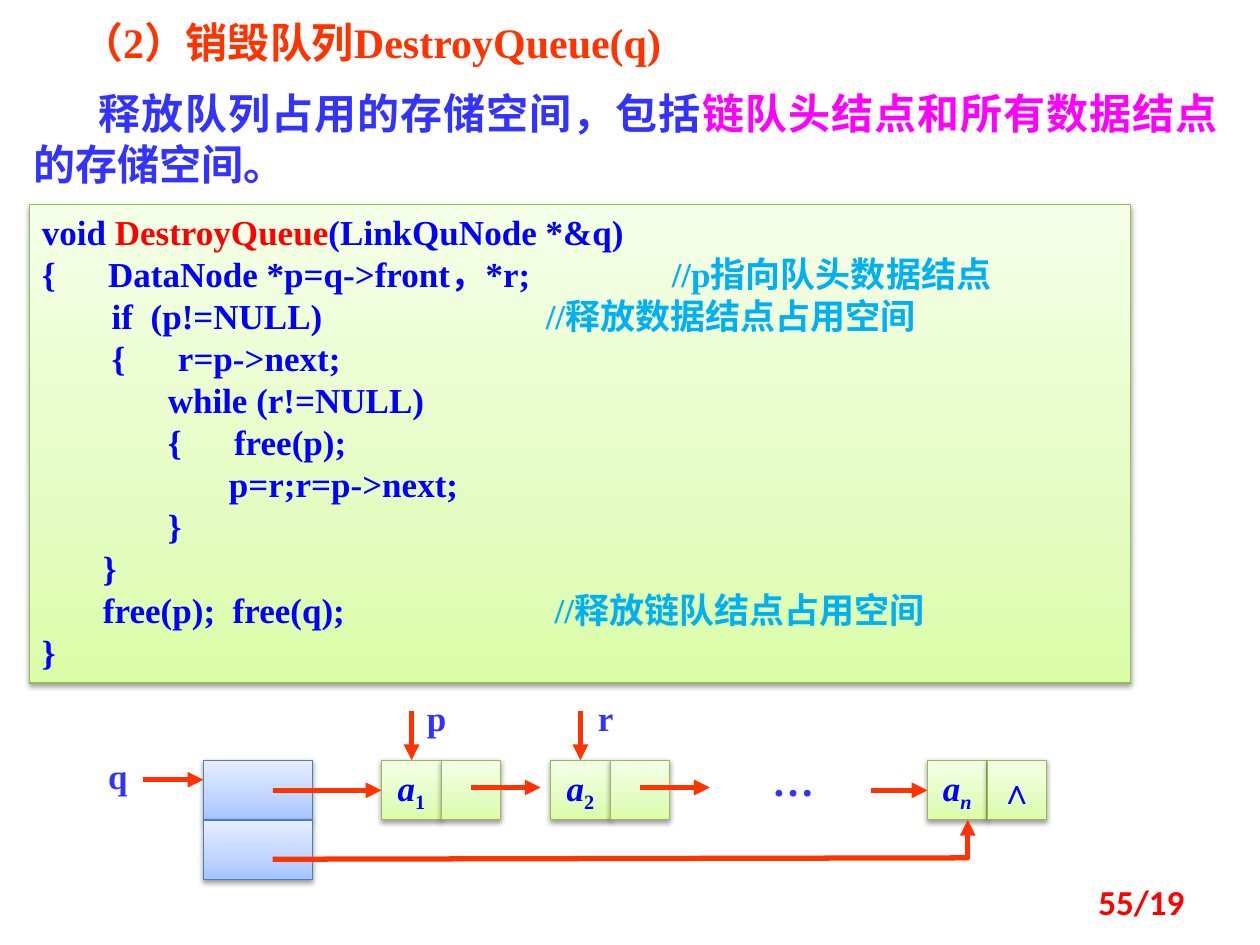
"""Build the slide on destroying a linked queue."""
from copy import deepcopy
from lxml.etree import SubElement
from pptx import Presentation
from pptx.dml.color import RGBColor
from pptx.enum.shapes import MSO_CONNECTOR as LINK, MSO_SHAPE as SHAPE
from pptx.enum.text import MSO_ANCHOR as ANCHOR, PP_ALIGN as ALIGN
from pptx.oxml.ns import qn
from pptx.util import Pt

ORANGE = RGBColor(0xFF, 0x33, 0x00)
VIOLET = RGBColor(0x33, 0x33, 0xFF)
PINK = RGBColor(0xFF, 0x00, 0xFF)
RED = RGBColor(0xFF, 0x00, 0x00)
BLUE = RGBColor(0x00, 0x00, 0xFF)
SKY = RGBColor(0x00, 0xB0, 0xF0)
LIME = [RGBColor.from_string(c) for c in ("DAFDA7", "E4FCC2", "F5FFE7", "98B955")]
ICE = [RGBColor.from_string(c) for c in ("A4C4FF", "BFD4FF", "E6EEFF", "4B7EBC")]
SERIF = "Times New Roman"

deck = Presentation()
deck.slide_width, deck.slide_height = Pt(720), Pt(540)
slide = deck.slides.add_slide(deck.slide_layouts[6])
shapes = slide.shapes


def add_box(x, y, w, h, tones):
    box = shapes.add_shape(SHAPE.RECTANGLE, Pt(x), Pt(y), Pt(w), Pt(h))
    box.fill.gradient()
    box.fill.gradient_angle = 90
    first = box.element.spPr.find(".//" + qn("a:gs"))
    first.addnext(deepcopy(first))
    for stop, tone, pos in zip(box.fill.gradient_stops, tones, (0, 0.35, 1)):
        stop.color.rgb = tone
        stop.position = pos
    box.line.color.rgb = tones[3]
    box.line.width = Pt(0.75)
    box.shadow.inherit = False
    glow = SubElement(box.element.spPr.find(qn("a:effectLst")), qn("a:outerShdw"),
                      blurRad=str(Pt(3.1)), dist=str(Pt(1.6)), dir="5400000", rotWithShape="0")
    black = SubElement(glow, qn("a:srgbClr"), val="000000")
    SubElement(black, qn("a:alpha"), val="38000")
    return box


def write(para, parts, size=20, align=ALIGN.LEFT, face=SERIF):
    para.alignment = align
    for text, tone in parts:
        run = para.add_run()
        run.text = text
        run.font.name, run.font.size, run.font.bold = face, Pt(size), True
        run.font.color.rgb = tone


intro = shapes.add_textbox(Pt(12.2), Pt(5.8), Pt(691), Pt(108.7)).text_frame
intro.word_wrap = True
head, body = intro.paragraphs[0], intro.add_paragraph()
write(head, [("（2）销毁队列DestroyQueue(q)", ORANGE)], 24, ALIGN.JUSTIFY)
write(body, [("释放队列占用的存储空间，包括", VIOLET), ("链队头结点和所有数据结点", PINK),
             ("的存储空间。", VIOLET)], 24, ALIGN.JUSTIFY)
body.space_before = Pt(12)
for para, indent in ((head, 27), (body, 37.2)):
    para._p.get_or_add_pPr().set("indent", str(Pt(indent)))

CODE = [
    [("void ", BLUE), ("DestroyQueue", RED), ("(LinkQuNode *&q)", BLUE)],
    [("{      DataNode *p=q->front，*r;  \t", BLUE), ("//p指向队头数据结点", SKY)],
    [("        if  (p!=NULL)\t\t", BLUE), ("//释放数据结点占用空间", SKY)],
    [("        {      r=p->next;", BLUE)],
    [("\twhile (r!=NULL)", BLUE)],
    [("\t{      free(p);", BLUE)],
    [("\t       p=r;r=p->next;", BLUE)],
    [("\t}", BLUE)],
    [("       }", BLUE)],
    [("       free(p);  free(q);\t\t ", BLUE), ("//释放链队结点占用空间", SKY)],
    [("}", BLUE)],
]
frame = add_box(16.8, 116.8, 629.3, 273.6, LIME).text_frame
frame.word_wrap = True
frame.vertical_anchor = ANCHOR.TOP
for i, parts in enumerate(CODE):
    para = frame.paragraphs[0] if i == 0 else frame.add_paragraph()
    tabs = SubElement(para._p.get_or_add_pPr(), qn("a:tabLst"))
    for n in range(1, 6):
        SubElement(tabs, qn("a:tab"), pos=str(Pt(72 * n)), algn="l")
    write(para, parts)

SIDE, TOP = 34.1, 434.4
for row in range(2):
    add_box(116.2, TOP + row * SIDE, 62.4, SIDE, ICE)
for left, sub, end in ((218, "1", ""), (314.6, "2", ""), (530, "n", "∧")):
    item = add_box(left, TOP, SIDE, SIDE, LIME).text_frame
    link = add_box(left + SIDE, TOP, SIDE, SIDE, LIME).text_frame
    for cell, parts in ((item, [("a", BLUE), (sub, BLUE)]), (link, [(end, BLUE)] if end else [])):
        cell.word_wrap = False
        cell.vertical_anchor = ANCHOR.MIDDLE
        write(cell.paragraphs[0], parts, align=ALIGN.CENTER)
    base, low = item.paragraphs[0].runs
    base.font.italic = True
    low.font.italic = sub == "n"
    low._r.get_or_add_rPr().set("baseline", "-25000")

ARROWS = [
    (82, 445.6, 116.2, 445.6), (155.8, 451.6, 218, 451.6), (498, 451.6, 530, 451.6),
    (269.2, 450, 309, 450), (365.8, 450, 405.6, 450),
    (235.2, 406.2, 235.2, TOP), (331.7, 406.2, 331.7, TOP),
    (553, 491, 553, 468.5), (155.8, 491, 553.8, 490.2),
]
for x, y, end, foot in ARROWS:
    arrow = shapes.add_connector(LINK.STRAIGHT, Pt(x), Pt(y), Pt(end), Pt(foot))
    arrow.line.color.rgb = ORANGE
    arrow.line.width = Pt(3)
    if (x, y) != ARROWS[-1][:2]:
        SubElement(arrow.line._get_or_add_ln(), qn("a:tailEnd"), type="triangle")
    SubElement(arrow.element.spPr, qn("a:effectLst"))

LABELS = [
    ("q", 50.4, 427.7, 34, 31, 20, VIOLET, ALIGN.CENTER, SERIF),
    ("p", 229.7, 394.6, 39.6, 31, 20, VIOLET, ALIGN.CENTER, SERIF),
    ("r", 326.2, 394.6, 39.6, 31, 20, VIOLET, ALIGN.CENTER, SERIF),
    ("…", 422, 427.7, 62.6, 36, 24, VIOLET, ALIGN.CENTER, SERIF),
    ("55/19", 516.2, 500.6, 167.8, 28.8, 20, RED, ALIGN.RIGHT, "Calibri"),
]
for text, x, y, w, h, size, tone, align, face in LABELS:
    label = shapes.add_textbox(Pt(x), Pt(y), Pt(w), Pt(h)).text_frame
    label.word_wrap = True
    if align == ALIGN.RIGHT:
        label.vertical_anchor = ANCHOR.MIDDLE
    write(label.paragraphs[0], [(text, tone)], size, align, face)

deck.save("out.pptx")
